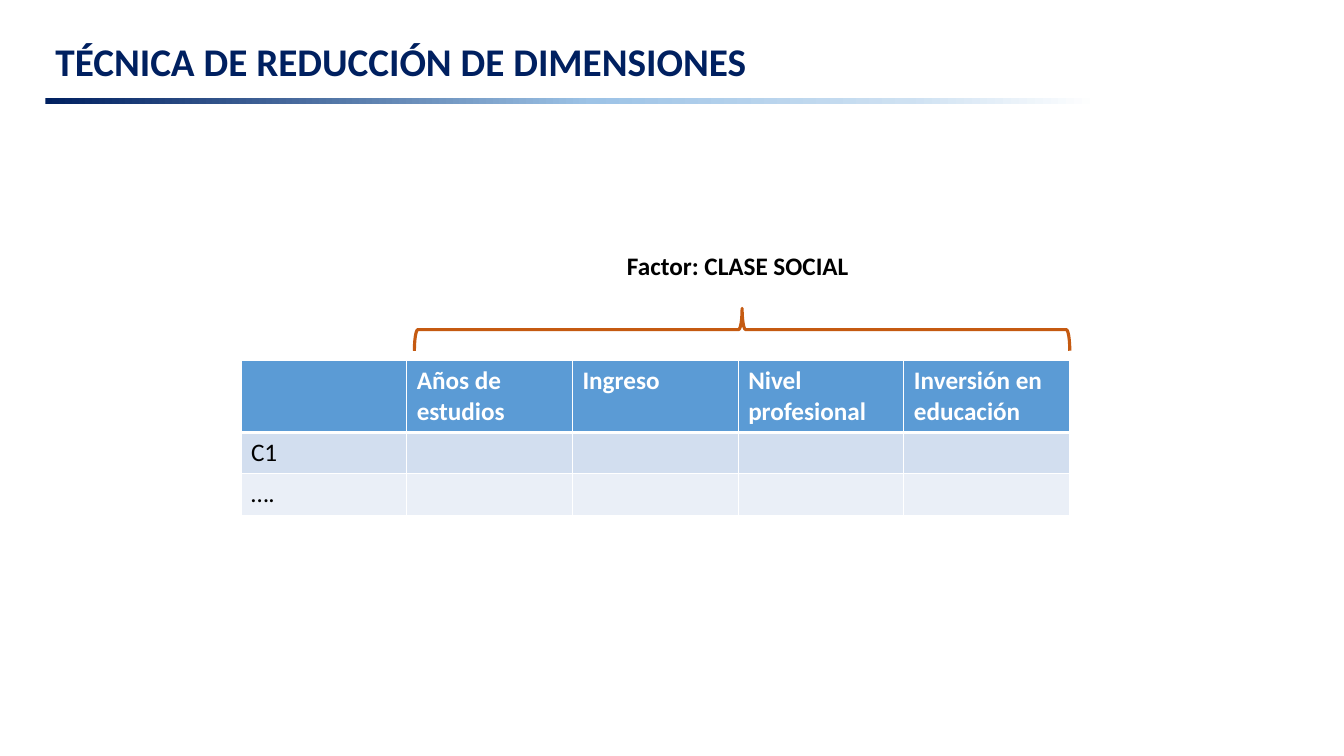
from dataclasses import dataclass

from lxml.etree import SubElement
from pptx import Presentation
from pptx.dml.color import RGBColor
from pptx.enum.shapes import MSO_SHAPE as Shape
from pptx.enum.text import MSO_ANCHOR as Anchor, MSO_AUTO_SIZE as AutoSize, PP_ALIGN as Align
from pptx.oxml.ns import qn
from pptx.util import Inches, Pt


@dataclass(frozen=True)
class Theme:
    font: str = "Calibri"
    title_size: int = 28
    body_size: int = 18
    navy: str = "002060"
    black: str = "000000"
    white: str = "FFFFFF"
    brace: str = "C55A11"
    header_fill: str = "5B9BD5"
    band_fills: tuple = ("D2DEEF", "EAEFF7")
    rule_stops: tuple = ((0, "002060"), (52, "9DC3E6"), (82, "CEE1F2"), (100, "FFFFFF"))


THEME = Theme()
VARIABLES = ["", "Años de estudios", "Ingreso", "Nivel profesional", "Inversión en educación"]
CASES = ["C1", "…."]


def place(left, top, width, height):
    return [Inches(value) for value in (left, top, width, height)]


def style_text(frame, size, color, bold):
    for para in frame.paragraphs:
        para.alignment = Align.LEFT
        for span in para.runs:
            span.font.name = THEME.font
            span.font.size = Pt(size)
            span.font.bold = bold
            span.font.color.rgb = RGBColor.from_string(color)


def add_title(page, text):
    title = page.shapes.title
    title.left, title.top, title.width, title.height = place(0.45, 0.29, 10.88, 0.63)
    frame = title.text_frame
    frame.text = text
    frame.vertical_anchor = Anchor.MIDDLE
    frame.auto_size = AutoSize.NONE
    style_text(frame, THEME.title_size, THEME.navy, True)


def add_fading_rule(page):
    rule = page.shapes.add_shape(Shape.RECTANGLE, *place(0.45, 0.97, 10.44, 0.06))
    rule.shadow.inherit = False
    rule.line.fill.background()
    rule.fill.gradient()
    rule.fill.gradient_angle = 0
    stops = rule.fill._fill._gradFill.find(qn("a:gsLst"))
    for stop in list(stops):
        stops.remove(stop)
    for percent, color in THEME.rule_stops:
        stop = SubElement(stops, qn("a:gs"), pos=str(percent * 1000))
        SubElement(stop, qn("a:srgbClr"), val=color)


def add_factor_label(page, text):
    box = page.shapes.add_textbox(*place(6.12, 2.43, 2.42, 0.4))
    frame = box.text_frame
    frame.text = text
    frame.word_wrap = False
    frame.auto_size = AutoSize.SHAPE_TO_FIT_TEXT
    style_text(frame, THEME.body_size, THEME.black, True)


def add_brace(page):
    brace = page.shapes.add_shape(Shape.LEFT_BRACE, *place(7.15, 0.02, 0.42, 6.5))
    brace.rotation = 90
    brace.shadow.inherit = False
    brace.fill.background()
    brace.line.color.rgb = RGBColor.from_string(THEME.brace)
    brace.line.width = Pt(2.25)


def add_borders(cell, top, bottom):
    """Draw white cell borders, with top and bottom widths in points."""
    properties = cell._tc.get_or_add_tcPr()
    for side, width in (("L", 1), ("R", 1), ("T", top), ("B", bottom)):
        line = SubElement(properties, qn(f"a:ln{side}"), w=str(Pt(width)))
        fill = SubElement(line, qn("a:solidFill"))
        SubElement(fill, qn("a:srgbClr"), val=THEME.white)


def fill_cell(cell, text, row):
    is_header = row == 0
    add_borders(cell, top=3 if row == 1 else 1, bottom=3 if is_header else 1)
    color = THEME.header_fill if is_header else THEME.band_fills[(row - 1) % 2]
    cell.fill.solid()
    cell.fill.fore_color.rgb = RGBColor.from_string(color)
    if text:
        cell.text_frame.text = text
        style_text(cell.text_frame, THEME.body_size,
                   THEME.white if is_header else THEME.black, is_header)


def add_case_table(page):
    rows = [VARIABLES] + [[case] + [""] * (len(VARIABLES) - 1) for case in CASES]
    frame = page.shapes.add_table(len(rows), len(VARIABLES), *place(2.39, 3.58, 8.22, 1.53))
    table = frame.table
    for row, texts in enumerate(rows):
        table.rows[row].height = Inches(0.41 if row else 0.7)
        for column, text in enumerate(texts):
            fill_cell(table.cell(row, column), text, row)


def main():
    deck = Presentation()
    deck.slide_width, deck.slide_height = Inches(13.33), Inches(7.5)
    page = deck.slides.add_slide(deck.slide_layouts[5])
    add_title(page, "TÉCNICA DE REDUCCIÓN DE DIMENSIONES")
    add_fading_rule(page)
    add_case_table(page)
    add_brace(page)
    add_factor_label(page, "Factor: CLASE SOCIAL")
    deck.save("out.pptx")


if __name__ == "__main__":
    main()
